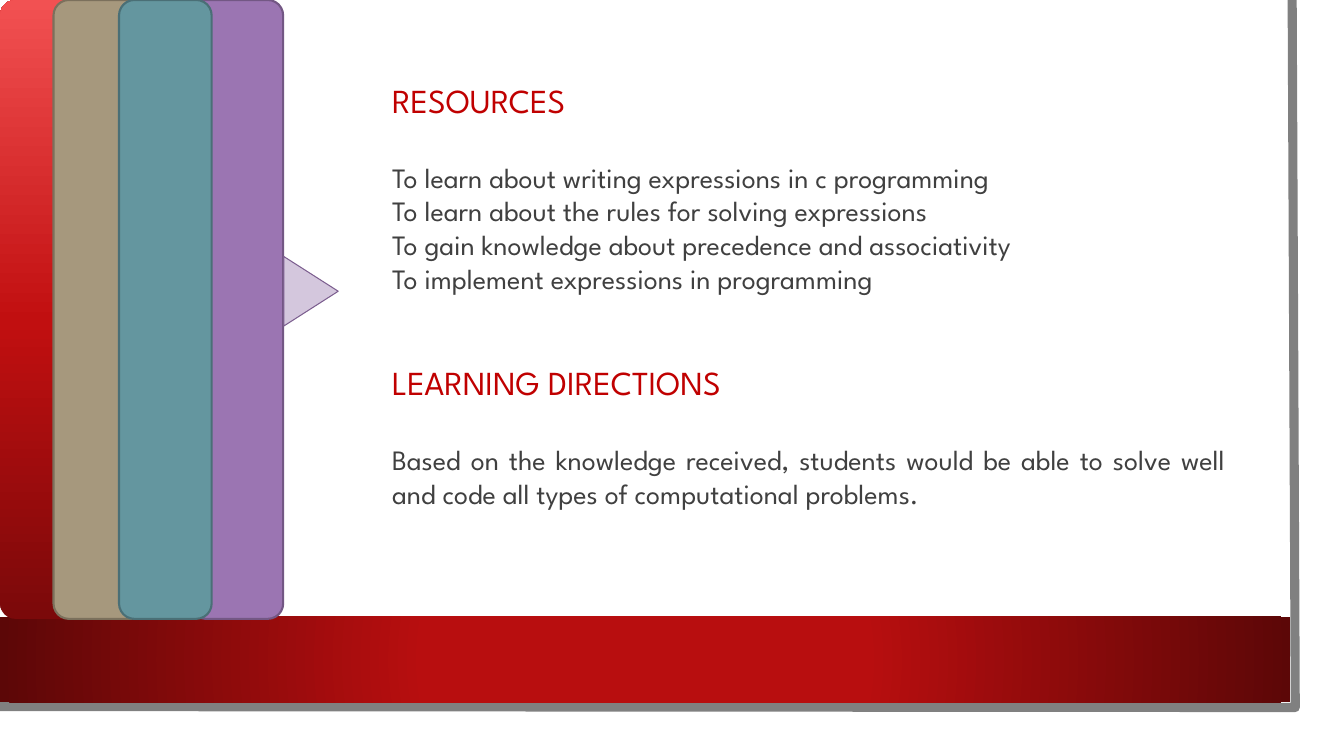
from lxml.etree import SubElement
from pptx import Presentation
from pptx.dml.color import RGBColor
from pptx.enum.shapes import MSO_SHAPE
from pptx.enum.text import MSO_ANCHOR, MSO_AUTO_SIZE, PP_ALIGN
from pptx.oxml.ns import qn
from pptx.util import Pt

FONT = "League Spartan"
COLORS = {
    "heading": "C00000", "body": "404040", "edge": "808080",
    "band": "B80E0F", "band_end": "5C0707",
    "red_low": "7B090A", "red_mid": "C10F10", "red_top": "F25152",
    "purple": "9B75B2", "purple_line": "735784",
    "sand": "A6987D", "sand_line": "7B705C",
    "teal": "64969F", "teal_line": "4A6F76",
    "pointer": "D4C7DD", "pointer_line": "7C5E8F",
}
OBJECTIVES = [
    "To learn about writing expressions in c programming",
    "To learn about the rules for solving expressions",
    "To gain knowledge about precedence and associativity",
    "To implement expressions in programming",
]
DIRECTIONS = ("Based on the knowledge received, students would be able to solve well "
              "and code all types of computational problems.")
TAB_WIDTH, TAB_HEIGHT = 66.2, 442.1
TEXT_LEFT, TEXT_WIDTH = 272.9, 609.8
LINE_RATIO = 1.2


def color(name):
    return RGBColor.from_string(COLORS[name])


def add_block(slide, kind, left, top, width, height, fill=None, line=None, weight=1.5):
    block = slide.shapes.add_shape(kind, Pt(left), Pt(top), Pt(width), Pt(height))
    block.shadow.inherit = False
    if fill:
        block.fill.solid()
        block.fill.fore_color.rgb = color(fill)
    if line:
        block.line.color.rgb = color(line)
        block.line.width = Pt(weight)
    else:
        block.line.fill.background()
    return block


def set_gradient(block, stops, angle=None):
    """Linear gradient at an angle in degrees, or circular from the centre without one."""
    block.fill.gradient()
    gradient = block._element.spPr.find(qn("a:gradFill"))
    gradient.clear()
    gradient.set("rotWithShape", "1")
    stop_list = SubElement(gradient, qn("a:gsLst"))
    for percent, name in stops:
        stop = SubElement(stop_list, qn("a:gs"), pos=str(percent * 1000))
        SubElement(stop, qn("a:srgbClr"), val=COLORS[name])
    if angle is not None:
        SubElement(gradient, qn("a:lin"), ang=str(angle * 60000), scaled="0")
    else:
        circle = SubElement(gradient, qn("a:path"), path="circle")
        SubElement(circle, qn("a:fillToRect"),
                   {side: "50000" for side in ("l", "t", "r", "b")})


def add_page_edge(slide):
    builder = slide.shapes.build_freeform(Pt(923), Pt(0))
    builder.add_line_segments([(Pt(925.2), Pt(505.4)), (Pt(-2.2), Pt(504.7))], close=False)
    edge = builder.convert_to_shape()
    edge.shadow.inherit = False
    edge.fill.background()
    edge.line.color.rgb = color("edge")
    edge.line.width = Pt(6.5)


def place(placeholder, top, height):
    placeholder.left, placeholder.top = Pt(TEXT_LEFT), Pt(top)
    placeholder.width, placeholder.height = Pt(TEXT_WIDTH), Pt(height)
    frame = placeholder.text_frame
    frame.word_wrap = True
    frame.auto_size = MSO_AUTO_SIZE.NONE
    frame.vertical_anchor = MSO_ANCHOR.TOP
    return frame


def write(paragraph, text, size=20, ink="body", align=PP_ALIGN.LEFT, before=0):
    run = paragraph.add_run()
    run.text = text
    run.font.name = FONT
    run.font.size = Pt(size)
    run.font.color.rgb = color(ink)
    paragraph.alignment = align
    paragraph.line_spacing = Pt(size * LINE_RATIO)
    paragraph.space_before = Pt(before)
    paragraph.space_after = Pt(0)
    properties = paragraph._p.get_or_add_pPr()
    properties.set("marL", "0")
    properties.set("indent", "0")
    SubElement(properties, qn("a:buNone"))


def main():
    deck = Presentation()
    deck.slide_width, deck.slide_height = Pt(960), Pt(540)
    slide = deck.slides.add_slide(deck.slide_layouts[1])

    # Page edge and bottom band
    add_page_edge(slide)
    band = add_block(slide, MSO_SHAPE.RECTANGLE, 0, 440.6, 921.6, 61.2)
    set_gradient(band, [(34, "band"), (100, "band_end")])

    # Overlapping tabs on the left
    red_tab = add_block(slide, MSO_SHAPE.ROUNDED_RECTANGLE, 0, 0, TAB_WIDTH, TAB_HEIGHT)
    set_gradient(red_tab, [(0, "red_low"), (48, "red_mid"), (100, "red_top")], angle=270)
    for left, hue in [(136.1, "purple"), (38.2, "sand"), (85, "teal")]:
        add_block(slide, MSO_SHAPE.ROUNDED_RECTANGLE, left, 0, TAB_WIDTH, TAB_HEIGHT,
                  hue, hue + "_line")
    pointer = add_block(slide, MSO_SHAPE.ISOSCELES_TRIANGLE, 197.3, 188.6, 49.7, 38.9,
                        "pointer", "pointer_line", 0.75)
    pointer.rotation = 90

    # Resources heading
    title = place(slide.shapes.title, 53.3, 40)
    write(title.paragraphs[0], "RESOURCES", size=24, ink="heading")

    # Objectives and learning directions
    body = place(slide.placeholders[1], 110.9, 347)
    write(body.paragraphs[0], OBJECTIVES[0])
    for objective in OBJECTIVES[1:]:
        write(body.add_paragraph(), objective)
    write(body.add_paragraph(), "LEARNING DIRECTIONS", size=24, ink="heading", before=48)
    write(body.add_paragraph(), DIRECTIONS, align=PP_ALIGN.JUSTIFY, before=28.8)

    deck.save("out.pptx")


if __name__ == "__main__":
    main()
